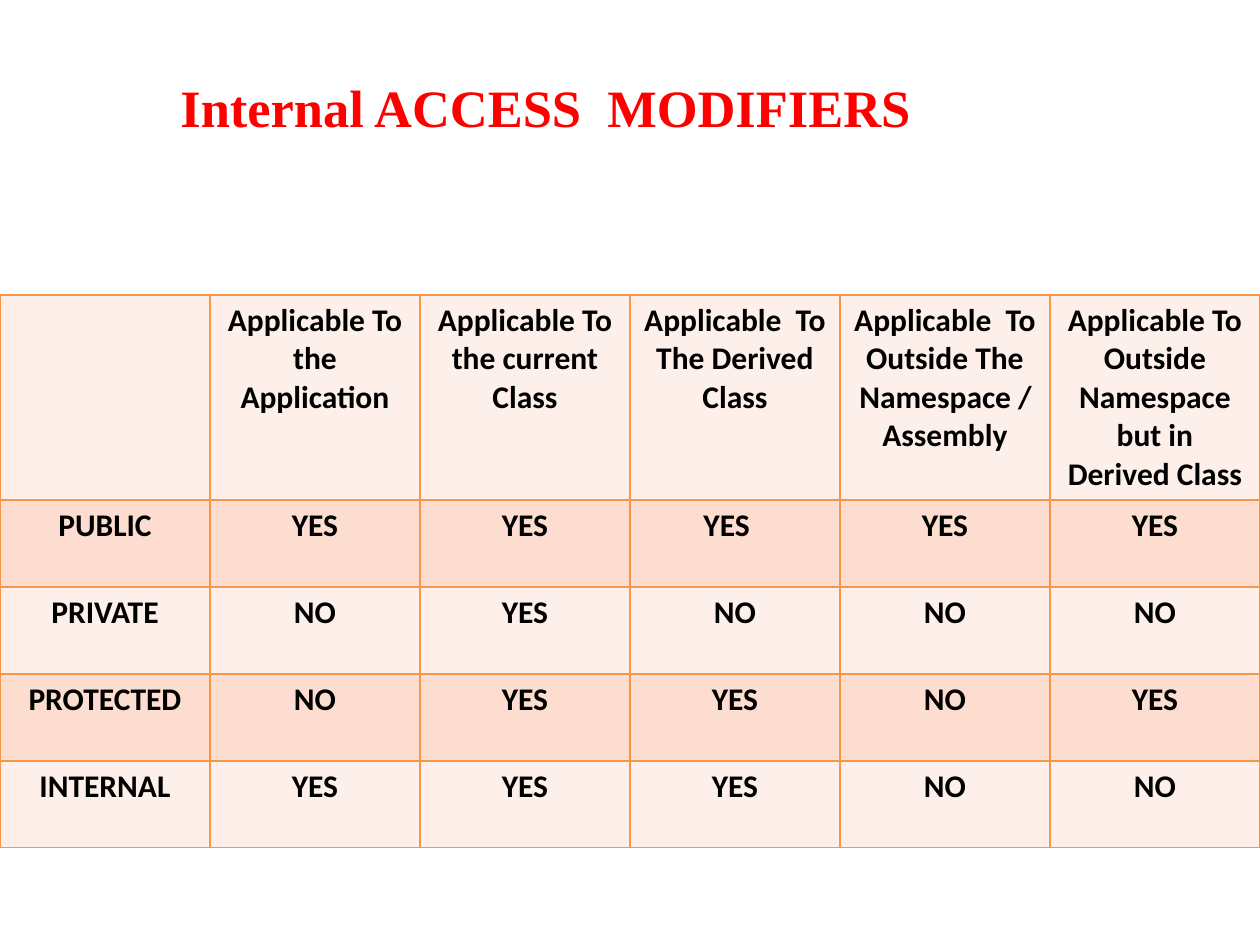
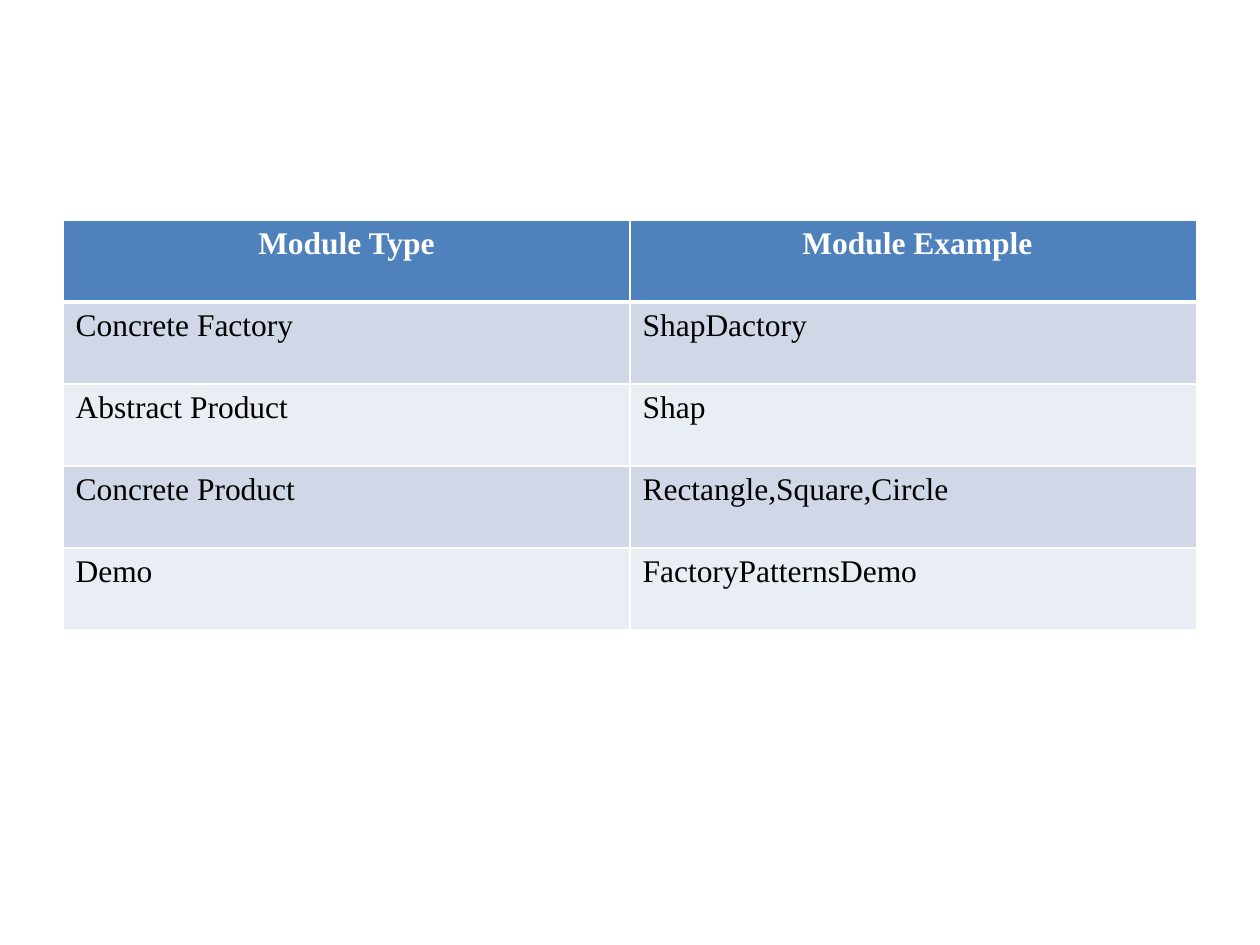
import pptx
import pptx.dml.color
import pptx.enum.text
import pptx.oxml
import pptx.oxml.ns
import pptx.util
from dataclasses import dataclass

EMU_PER_PX = 914400 / 126
SLIDE_SIZE = (1260, 945)
BLANK_LAYOUT = 6


@dataclass(frozen=True)
class Theme:
    serif: str = "Times New Roman"
    sans: str = "Calibri"
    title_size: int = 30
    table_size: int = 18
    title: str = "FF0000"
    black: str = "000000"
    white: str = "FFFFFF"
    orange: str = "F79646"
    orange_light: str = "FDEFE9"
    orange_band: str = "FCDDCF"
    blue: str = "4F81BD"
    blue_light: str = "E9EDF4"
    blue_band: str = "D0D8E8"


THEME = Theme()

TITLE = {"text": "Internal ACCESS  MODIFIERS", "box": (168, 69, 777, 77)}

ACCESS_TABLE = {
    "rows": [
        ("", "Applicable To the Application", "Applicable To the current Class",
         "Applicable  To The Derived Class",
         "Applicable  To Outside The Namespace /Assembly",
         "Applicable To Outside Namespace but in Derived Class"),
        ("PUBLIC", "YES", "YES", "YES\t", "YES", "YES"),
        ("PRIVATE", "NO", "YES", "NO", "NO", "NO"),
        ("PROTECTED", "NO", "YES", "YES", "NO", "YES"),
        ("INTERNAL", "YES", "YES", "YES", "NO", "NO"),
    ],
    "corner": (0, 295), "column_width": 210,
    "header_height": 204, "row_height": 87,
    "font": THEME.sans, "border": THEME.orange, "header_rule": 1,
    "header_fill": THEME.orange_light,
    "bands": (THEME.orange_band, THEME.orange_light),
    "header_color": THEME.black, "body_bold": True, "body_centered": True,
}

MODULE_TABLE = {
    "rows": [
        ("Module Type", " Module Example"),
        ("Concrete Factory", "ShapDactory"),
        ("Abstract Product", "Shap"),
        ("Concrete Product", "Rectangle,Square,Circle"),
        ("Demo", "FactoryPatternsDemo"),
    ],
    "corner": (63, 220), "column_width": 567,
    "header_height": 82, "row_height": 82,
    "font": THEME.serif, "border": THEME.white, "header_rule": 3,
    "header_fill": THEME.blue,
    "bands": (THEME.blue_band, THEME.blue_light),
    "header_color": THEME.white, "body_bold": False, "body_centered": False,
}


def px(length):
    return pptx.util.Emu(round(length * EMU_PER_PX))


def rgb(value):
    return pptx.dml.color.RGBColor.from_string(value)


def format_text(text_frame, font_name, size, color, bold, centered=False):
    alignment = pptx.enum.text.PP_ALIGN
    for paragraph in text_frame.paragraphs:
        paragraph.alignment = alignment.CENTER if centered else alignment.LEFT
        for run in paragraph.runs:
            run.font.name = font_name
            run.font.size = pptx.util.Pt(size)
            run.font.color.rgb = rgb(color)
            run.font.bold = bold


def set_borders(cell, color, top, bottom):
    """Draw 1 pt sides, with the given top and bottom widths in points."""
    properties = cell._tc.get_or_add_tcPr()
    for side, width in (("L", 1), ("R", 1), ("T", top), ("B", bottom)):
        properties.append(pptx.oxml.parse_xml(
            f'<a:ln{side} {pptx.oxml.ns.nsdecls("a")} w="{pptx.util.Pt(width)}">'
            f'<a:solidFill><a:srgbClr val="{color}"/></a:solidFill></a:ln{side}>'))


def add_title(slide, title):
    text_box = slide.shapes.add_textbox(*map(px, title["box"]))
    text_frame = text_box.text_frame
    text_frame.word_wrap = True
    text_frame.text = title["text"]
    format_text(text_frame, THEME.serif, THEME.title_size, THEME.title, True)


def add_styled_table(slide, content):
    rows = content["rows"]
    heights = [content["header_height"]] + [content["row_height"]] * (len(rows) - 1)
    width = content["column_width"] * len(rows[0])
    frame = slide.shapes.add_table(
        len(rows), len(rows[0]), *map(px, (*content["corner"], width, sum(heights))))
    table = frame.table
    for column in table.columns:
        column.width = px(content["column_width"])
    for row_index, (texts, height) in enumerate(zip(rows, heights)):
        table.rows[row_index].height = px(height)
        is_header = row_index == 0
        fill = content["header_fill"] if is_header else content["bands"][(row_index - 1) % 2]
        color = content["header_color"] if is_header else THEME.black
        top = content["header_rule"] if row_index == 1 else 1
        bottom = content["header_rule"] if is_header else 1
        for column_index, text in enumerate(texts):
            cell = table.cell(row_index, column_index)
            set_borders(cell, content["border"], top, bottom)
            cell.fill.solid()
            cell.fill.fore_color.rgb = rgb(fill)
            cell.text_frame.text = text
            format_text(cell.text_frame, content["font"], THEME.table_size, color,
                        is_header or content["body_bold"],
                        is_header or content["body_centered"])


def main():
    presentation = pptx.Presentation()
    presentation.slide_width, presentation.slide_height = map(px, SLIDE_SIZE)
    for title, table in ((TITLE, ACCESS_TABLE), (None, MODULE_TABLE)):
        slide = presentation.slides.add_slide(presentation.slide_layouts[BLANK_LAYOUT])
        add_styled_table(slide, table)
        if title:
            add_title(slide, title)
    presentation.save("out.pptx")


if __name__ == "__main__":
    main()
